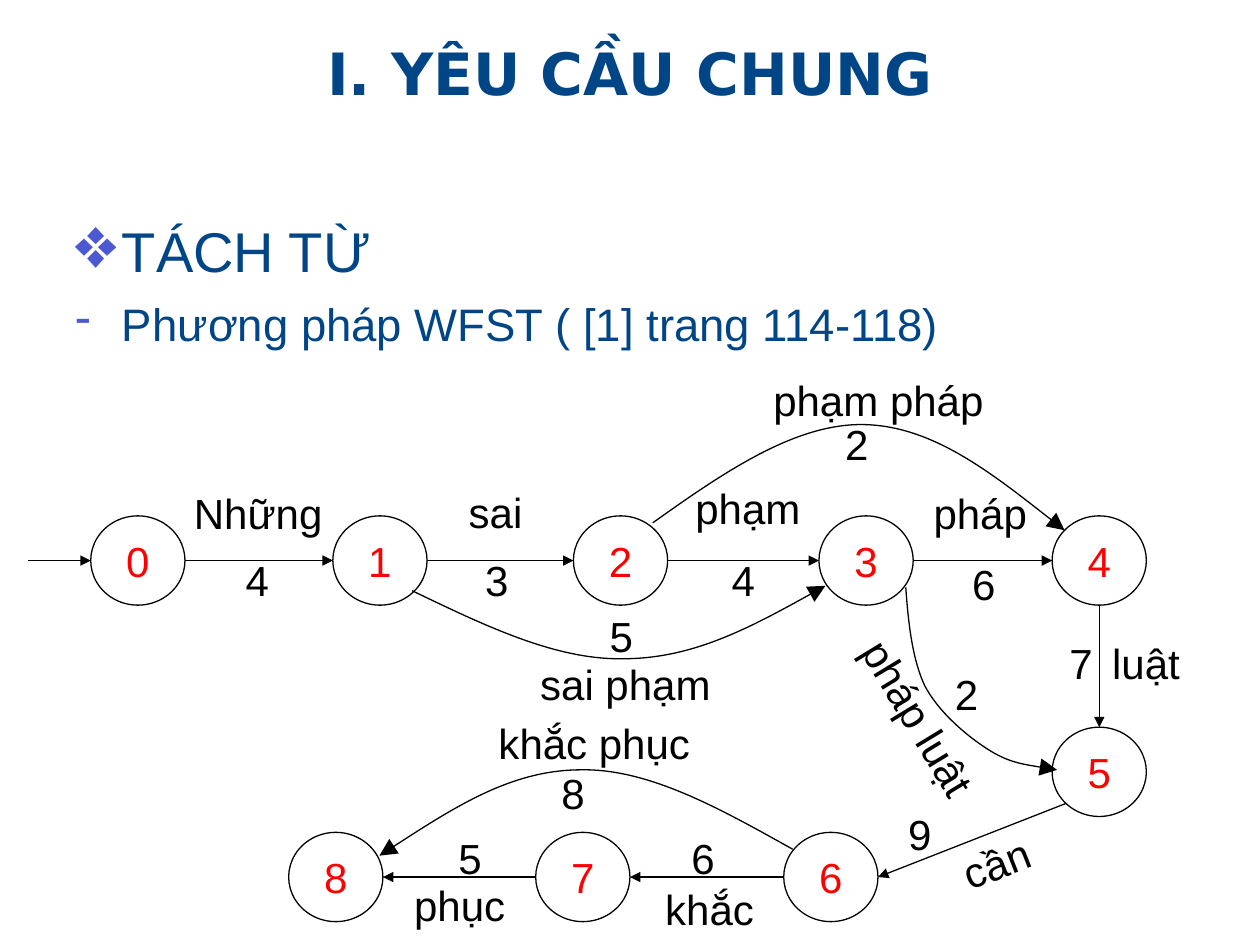
from dataclasses import dataclass
from math import cos, radians, sin

from lxml import etree
from pptx import Presentation
from pptx import util as u
from pptx.dml.color import RGBColor
from pptx.enum import shapes, text
from pptx.oxml.ns import qn


@dataclass(frozen=True)
class Theme:
    head: str = "DejaVu Sans"
    body: str = "Arial"
    blue: str = "004586"
    mark: str = "4C59D2"
    red: str = "FF0000"
    black: str = "000000"
    title: float = 33.3
    topic: int = 32
    item: int = 26
    label: int = 24
    line: float = 0.75


@dataclass(frozen=True)
class Box:
    x: float
    y: float
    w: float
    h: float

    def at(self, x, y):
        return u.Cm(self.x + x), u.Cm(self.y + y)

    def area(self):
        return [u.Cm(n) for n in (self.x, self.y, self.w, self.h)]


T = Theme()
NODE_W, NODE_H = 1.9, 1.8
TEXT_H = 1.27
ROW, LOW = 3.9, 10.28
NODES = [(2.78, ROW), (7.66, ROW), (12.51, ROW), (17.46, ROW), (22.16, ROW),
         (22.16, 8.16), (16.75, LOW), (11.75, LOW), (6.77, LOW)]
EAST, SOUTH, WEST = 0, 90, 180
LINKS = [(0, EAST, 1, WEST), (1, EAST, 2, WEST), (2, EAST, 3, WEST),
         (3, EAST, 4, WEST), (4, SOUTH, 5, -SOUTH), (5, 135, 6, EAST),
         (6, WEST, 7, EAST), (7, WEST, 8, EAST)]
CURVES = [
    [(8.31, 4.51), (9.75, 5.2), (11.2, 5.91), (12.57, 5.88),
     (13.97, 5.88), (15.32, 5.15), (16.64, 4.41)],
    [(13.16, 3.14), (14.58, 2.13), (16.03, 1.13), (17.42, 1.16),
     (18.8, 1.19), (20.14, 2.25), (21.46, 3.29)],
    [(18.26, 4.44), (18.31, 5.15), (18.39, 5.88), (18.64, 6.42),
     (18.92, 6.95), (19.46, 7.41), (19.89, 7.69),
     (20.32, 7.97), (20.8, 8.04), (21.31, 8.12)],
    [(15.98, 9.72), (14.53, 8.91), (13.08, 8.09), (11.71, 8.12),
     (10.31, 8.12), (8.99, 8.98), (7.65, 9.85)],
]
WORDS = [("Những", 3.66, 2.3, 3.1, 0), ("sai", 9.2, 2.28, 1.65, 0),
         ("phạm", 13.77, 2.2, 2.62, 0), ("pháp", 18.57, 2.3, 2.39, 0),
         ("sai phạm", 10.64, 5.76, 3.94, 0), ("luật", 22.17, 5.33, 1.88, 0),
         ("pháp luật", 16.54, 6.44, 3.99, 58.7),
         ("phạm pháp", 15.34, 0.02, 4.75, 0),
         ("cần", 19.15, 9.36, 1.88, -21.4), ("khắc", 13.16, 10.28, 2.29, 0),
         ("phục", 8.1, 10.2, 2.34, 0), ("khắc phục", 9.8, 6.93, 4.37, 0)]
COSTS = [("4", 4.7, 3.65), ("3", 9.53, 3.65), ("4", 14.5, 3.65),
         ("6", 19.35, 3.73), ("5", 12.04, 4.79), ("2", 16.79, 0.91),
         ("2", 19, 5.96), ("7", 21.31, 5.33), ("9", 18.06, 8.78),
         ("6", 13.69, 9.26), ("5", 8.99, 9.26), ("8", 11.07, 7.94)]


def style(para, size, color, font=T.body, bold=False):
    for run in para.runs:
        run.font.size = u.Pt(size)
        run.font.name = font
        run.font.bold = bold
        run.font.color.rgb = RGBColor.from_string(color)


def stroke(line):
    line.width = u.Pt(T.line)
    line.color.rgb = RGBColor.from_string(T.black)


def tip(shape, size):
    stroke(shape.line)
    line = shape.line._get_or_add_ln()
    etree.SubElement(line, qn("a:tailEnd"), type="triangle", w=size, len=size)


def bullet(para, char, scale):
    props = para._p.get_or_add_pPr()
    props.set("marL", str(u.Cm(0.94)))
    props.set("indent", str(u.Cm(-0.94)))
    color = etree.SubElement(props, qn("a:buClr"))
    etree.SubElement(color, qn("a:srgbClr"), val=T.mark)
    etree.SubElement(props, qn("a:buSzPct"), val=str(scale * 1000))
    etree.SubElement(props, qn("a:buChar"), char=char)


def title(slide, box):
    frame = slide.shapes.add_textbox(*box.area()).text_frame
    frame.word_wrap = True
    frame.margin_left = frame.margin_right = 0
    frame.margin_top = frame.margin_bottom = 0
    frame.vertical_anchor = text.MSO_ANCHOR.MIDDLE
    frame.text = "I. YÊU CẦU CHUNG"
    para = frame.paragraphs[0]
    para.alignment = text.PP_ALIGN.CENTER
    para.line_spacing = 0.9
    style(para, T.title, T.blue, T.head, True)


def body(slide, box):
    frame = slide.shapes.add_textbox(*box.area()).text_frame
    frame.word_wrap = True
    frame.text = "TÁCH TỪ\nPhương pháp WFST ( [1] trang 114-118)"
    looks = [("❖", 130, T.topic), ("-", 100, T.item)]
    for para, (char, scale, size) in zip(frame.paragraphs, looks):
        bullet(para, char, scale)
        style(para, size, T.blue)
    frame.paragraphs[1].space_before = u.Pt(7)


def node(slide, box, name, x, y):
    shape = slide.shapes.add_shape(
        shapes.MSO_SHAPE.OVAL, *box.at(x - NODE_W / 2, y - NODE_H / 2),
        u.Cm(NODE_W), u.Cm(NODE_H))
    shape.shadow.inherit = False
    shape.fill.background()
    stroke(shape.line)
    frame = shape.text_frame
    frame.text = name
    frame.vertical_anchor = text.MSO_ANCHOR.MIDDLE
    frame.paragraphs[0].alignment = text.PP_ALIGN.CENTER
    style(frame.paragraphs[0], T.label, T.red)


def port(index, angle):
    x, y = NODES[index]
    turn = radians(angle)
    return x + NODE_W / 2 * cos(turn), y + NODE_H / 2 * sin(turn)


def arrow(slide, box, start, end):
    line = slide.shapes.add_connector(
        shapes.MSO_CONNECTOR.STRAIGHT, *box.at(*start), *box.at(*end))
    tip(line, "med")
    etree.SubElement(line._element.spPr, qn("a:effectLst"))


def curve(slide, box, points):
    start, *rest = [box.at(*point) for point in points]
    pen = slide.shapes.build_freeform(*start)
    pen.add_line_segments(rest, close=False)
    shape = pen.convert_to_shape()
    shape.shadow.inherit = False
    shape.fill.background()
    tip(shape, "lg")
    route = next(shape._element.iter(qn("a:path")))
    steps = route.findall(qn("a:lnTo"))
    for i in range(0, len(steps), 3):
        bend = etree.SubElement(route, qn("a:cubicBezTo"))
        for step in steps[i:i + 3]:
            bend.append(step[0])
            route.remove(step)


def label(slide, box, word, x, y, width=0.97, turn=0):
    shape = slide.shapes.add_textbox(*box.at(x, y), u.Cm(width), u.Cm(TEXT_H))
    shape.rotation = turn
    frame = shape.text_frame
    frame.word_wrap = False
    frame.auto_size = text.MSO_AUTO_SIZE.SHAPE_TO_FIT_TEXT
    frame.text = word
    style(frame.paragraphs[0], T.label, T.black)


def graph(slide, box):
    for index, (x, y) in enumerate(NODES):
        node(slide, box, str(index), x, y)
    arrow(slide, box, (0.56, ROW), port(0, WEST))
    for head, out, goal, into in LINKS:
        arrow(slide, box, port(head, out), port(goal, into))
    for points in CURVES:
        curve(slide, box, points)
    for item in WORDS + COSTS:
        label(slide, box, *item)


def main():
    deck = Presentation()
    deck.slide_width, deck.slide_height = u.Cm(25.4), u.Cm(19.05)
    slide = deck.slides.add_slide(deck.slide_layouts[6])
    title(slide, Box(0, 0.81, 25.4, 1.47))
    body(slide, Box(1.27, 4.24, 22.86, 3.81))
    graph(slide, Box(0, 7.4, 25.4, 11.65))
    deck.save("out.pptx")


if __name__ == "__main__":
    main()
